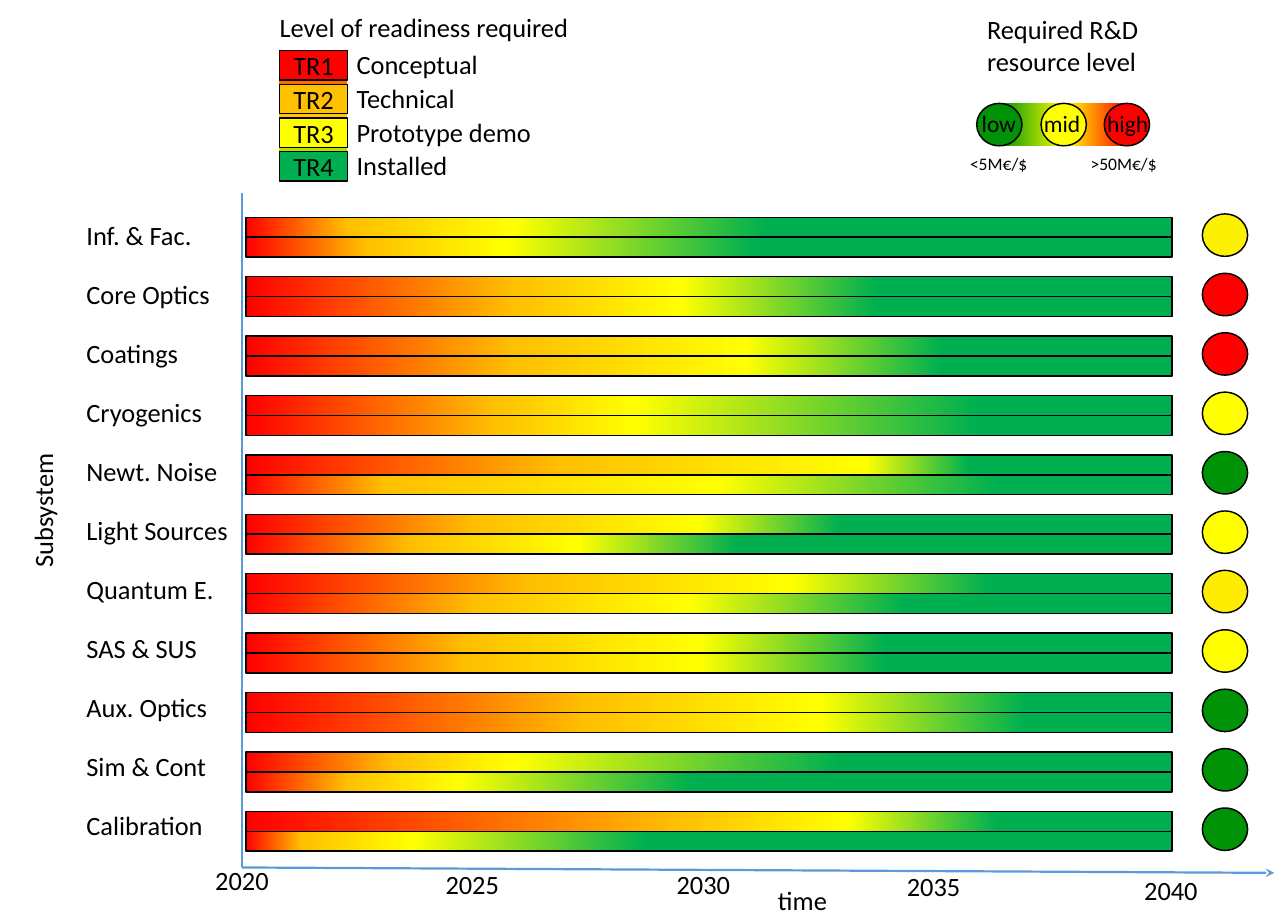
from lxml import etree
from pptx import Presentation
from pptx import util as u
from pptx.dml import color
from pptx.enum import shapes as kinds, text
from pptx.oxml import ns

RED, AMBER, YELLOW, GREEN, DEEP_GREEN = "FF0000", "FFC000", "FFFF00", "00B050", "009207"
BLACK, AXIS_BLUE = "000000", "5B9BD5"
RECT, OVAL = kinds.MSO_SHAPE.RECTANGLE, kinds.MSO_SHAPE.OVAL
ROW_PITCH = 1.43

SUBSYSTEMS = [
    ("Inf. & Fac.", 3.07, (11, 29, 56), (13, 28, 55), "FDF103"),
    ("Core Optics", 3.51, (29, 47, 68), (29, 47, 68), RED),
    ("Coatings", 2.74, (29, 54, 75), (29, 54, 75), RED),
    ("Cryogenics", 3.33, (27, 42, 79), (27, 42, 79), YELLOW),
    ("Newt. Noise", 3.68, (34, 67, 78), (15, 51, 81), DEEP_GREEN),
    ("Light Sources", 3.96, (25, 49, 64), (18, 36, 53), YELLOW),
    ("Quantum E.", 3.61, (31, 59, 80), (25, 48, 71), "FFED01"),
    ("SAS & SUS", 3.2, (24, 49, 69), (24, 49, 69), YELLOW),
    ("Aux. Optics", 3.45, (37, 62, 84), (37, 62, 84), DEEP_GREEN),
    ("Sim & Cont", 3.43, (16, 29, 64), (11, 23, 48), DEEP_GREEN),
    ("Calibration", 3.35, (47, 65, 81), (6, 18, 43), DEEP_GREEN),
]
YEARS = [("2020", 0, 0), ("2025", 5.54, 0.1), ("2030", 11.1, 0.1),
         ("2035", 16.64, 0.13), ("2040", 22.35, 0.23)]
READINESS = [("TR1", RED, "Conceptual", 3.45), ("TR2", AMBER, "Technical", 2.9),
             ("TR3", YELLOW, "Prototype demo", 4.75), ("TR4", GREEN, "Installed", 2.72)]
RESOURCES = [("low", DEEP_GREEN, 0.41, 0.28, 1.35), ("mid", YELLOW, 1.96, 1.78, 1.4),
             ("high", RED, 3.48, 3.3, 1.5)]


def rgb(hex_code):
    """Return the colour for a hex string."""
    return color.RGBColor.from_string(hex_code)


def style_runs(frame, size):
    """Give every run the slide's font."""
    for paragraph in frame.paragraphs:
        for run in paragraph.runs:
            run.font.name = "Calibri"
            run.font.size = u.Pt(size)
            run.font.color.rgb = rgb(BLACK)


def add_label(parts, wording, left, top, width, height=1.02, size=18, wrap=False):
    """Add a text box and return it."""
    label = parts.add_textbox(u.Cm(left), u.Cm(top), u.Cm(width), u.Cm(height))
    frame = label.text_frame
    frame.text = wording
    frame.word_wrap = wrap
    frame.auto_size = text.MSO_AUTO_SIZE.SHAPE_TO_FIT_TEXT
    style_runs(frame, size)
    return label


def fill_gradient(shape, stops, angle):
    """Fill a shape with (percent, hex) stops."""
    shape.fill.gradient()
    shape.fill.gradient_angle = angle
    stop_list = shape._element.spPr.find(".//" + ns.qn("a:gsLst"))
    for old_stop in list(stop_list):
        stop_list.remove(old_stop)
    for percent, hex_code in stops:
        stop = etree.SubElement(stop_list, ns.qn("a:gs"), pos=str(percent * 1000))
        etree.SubElement(stop, ns.qn("a:srgbClr"), val=hex_code)


def add_block(parts, kind, left, top, width, height, fill, angle=0, outlined=True):
    """Add a shape with a plain or gradient fill and return it."""
    block = parts.add_shape(kind, u.Cm(left), u.Cm(top), u.Cm(width), u.Cm(height))
    block.shadow.inherit = False
    if isinstance(fill, str):
        block.fill.solid()
        block.fill.fore_color.rgb = rgb(fill)
    else:
        fill_gradient(block, fill, angle)
    if outlined:
        block.line.color.rgb = rgb(BLACK)
        block.line.width = u.Pt(1)
    else:
        block.line.fill.background()
    return block


def add_axis(parts, x1, y1, x2, y2):
    """Add a blue axis line and return it."""
    axis = parts.add_connector(kinds.MSO_CONNECTOR.STRAIGHT,
                               u.Cm(x1), u.Cm(y1), u.Cm(x2), u.Cm(y2))
    axis.line.color.rgb = rgb(AXIS_BLUE)
    axis.line.width = u.Pt(1.5)
    etree.SubElement(axis._element.spPr, ns.qn("a:effectLst"))
    return axis


def draw_axes(parts, left, top, width, height):
    """Draw both axes with their years and titles."""
    bottom = top + height
    time_axis = add_axis(parts, left, bottom, left + width, bottom + 0.13)
    etree.SubElement(time_axis.line._get_or_add_ln(), ns.qn("a:tailEnd"), type="stealth")
    add_axis(parts, left, bottom, left, top)
    for year, across, down in YEARS:
        add_label(parts, year, left - 0.89 + across, bottom - 0.2 + down, 1.8)
    add_label(parts, "time", left + 12.65, bottom + 0.28, 1.7)
    add_label(parts, "Subsystem", left - 6.43, top + 7.11, 3.28).rotation = 270


def draw_rows(parts, left, top, bar_width):
    """Draw each subsystem's name, pair of bars and resource level."""
    for row, (name, name_width, upper, lower, level) in enumerate(SUBSYSTEMS):
        y = top + row * ROW_PITCH
        add_label(parts, name, left - 4.09, top - 0.07 + row * 1.42, name_width)
        pair = parts.add_group_shape().shapes
        for place, turns in enumerate((upper, lower)):
            stops = list(zip((0, *turns), (RED, AMBER, YELLOW, GREEN)))
            add_block(pair, RECT, left, y + place * 0.48, bar_width, 0.48, stops)
        add_block(parts, OVAL, left + bar_width + 0.73, y - 0.08, 1.09, 1.02, level)


def draw_readiness_legend(parts, left, top):
    """Draw the key to the readiness levels."""
    scale = [(0, DEEP_GREEN), (34, YELLOW), (70, "FF8200"), (100, RED)]
    add_block(parts, RECT, left + 0.23, top + 1.07, 1.63, 3.15, scale, 90, False)
    add_label(parts, "Level of readiness required", left, top, 7.54)
    for step, (code, fill, meaning, width) in enumerate(READINESS):
        y = top + 1.07 + step * 0.81
        swatch = add_block(parts, RECT, left + 0.25, y, 1.63, 0.71, fill)
        frame = swatch.text_frame
        frame.text = code
        frame.vertical_anchor = text.MSO_ANCHOR.MIDDLE
        frame.paragraphs[0].alignment = text.PP_ALIGN.CENTER
        style_runs(frame, 18)
        add_label(parts, meaning, left + 1.85, y - 0.18, width)


def draw_resource_legend(parts, left, top):
    """Draw the key to the resource levels."""
    scale = [(0, DEEP_GREEN), (51, YELLOW), (100, RED)]
    add_block(parts, RECT, left + 0.96, top + 2.29, 3.12, 1.02, scale, 0, False)
    add_label(parts, "Required R&D\nresource level", left + 0.41, top, 5.46, 1.8, wrap=True)
    for level, fill, dot_x, word_x, word_width in RESOURCES:
        add_block(parts, OVAL, left + dot_x, top + 2.29, 1.09, 1.02, fill)
        add_label(parts, level, left + word_x, top + 2.31, word_width, 0.94, 16)
    add_label(parts, "<5M€/$", left, top + 3.36, 1.9, 0.76, 12)
    add_label(parts, ">50M€/$", left + 2.9, top + 3.36, 2.13, 0.76, 12)


def main():
    """Build the roadmap slide."""
    deck = Presentation()
    deck.slide_width, deck.slide_height = u.Cm(30.99), u.Cm(22)
    parts = deck.slides.add_slide(deck.slide_layouts[6]).shapes
    draw_axes(parts, 5.82, 4.65, 24.84, 16.23)
    draw_rows(parts, 5.92, 5.23, 22.28)
    draw_readiness_legend(parts.add_group_shape().shapes, 6.48, 0.15)
    draw_resource_legend(parts.add_group_shape().shapes, 23.09, 0.2)
    deck.save("out.pptx")


if __name__ == "__main__":
    main()
